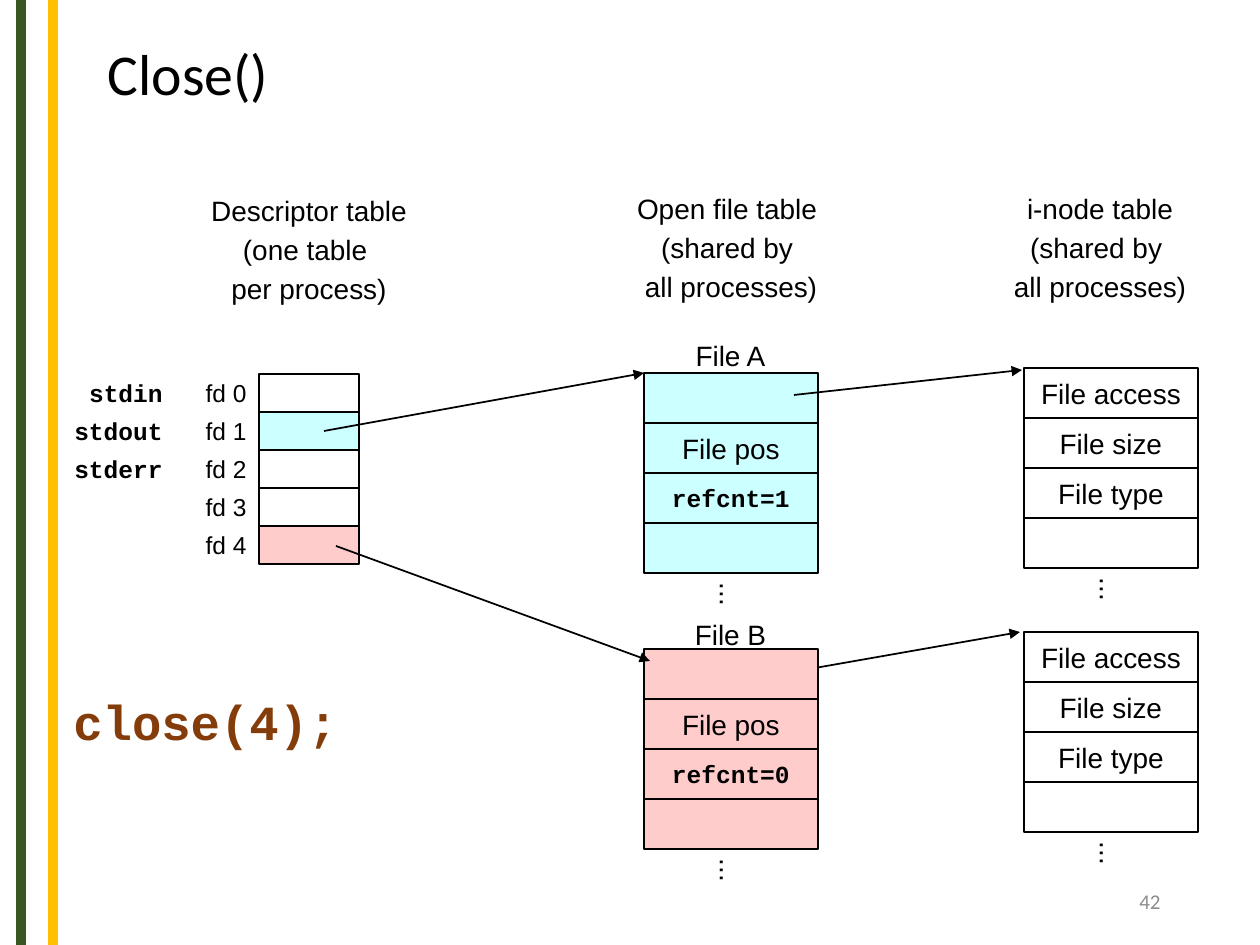
from lxml import etree
from pptx import Presentation
from pptx.dml.color import RGBColor
from pptx.enum.shapes import MSO_CONNECTOR, MSO_SHAPE
from pptx.enum.text import MSO_ANCHOR, PP_ALIGN
from pptx.oxml.ns import qn
from pptx.util import Pt

PX = 914400 / 126
LINE, RECT = MSO_CONNECTOR.STRAIGHT, MSO_SHAPE.RECTANGLE
TOP, MIDDLE = MSO_ANCHOR.TOP, MSO_ANCHOR.MIDDLE
LEFT, CENTER, RIGHT = PP_ALIGN.LEFT, PP_ALIGN.CENTER, PP_ALIGN.RIGHT
BLACK, CYAN, PINK = "000000", "CCFFFF", "FFCCCC"
SANS, MONO = ("Arial", 16, False), ("Courier New", 14, True)
DOTS = "..."

STRIPES = [(21, "385723"), (53, "FFC000")]
HEADINGS = [
    (198, 186, 222, ["Descriptor table", "(one table ", "per process)"]),
    (624, 184, 214, ["Open file table ", "(shared by ", "all processes)"]),
    (1001, 184, 198, ["i-node table", "(shared by ", "all processes)"]),
]
DESCRIPTORS = [("fd 0", None), ("fd 1", CYAN), ("fd 2", None), ("fd 3", None), ("fd 4", PINK)]
STREAMS = [("stdin", 57, 138), ("stdout", 42, 153), ("stderr", 42, 153)]
INODE = ["File access", "File size", "File type", DOTS]
TABLES = [
    (644, 373, CYAN, ["", "File pos", "refcnt=1", DOTS]),
    (644, 649, PINK, ["", "File pos", "refcnt=0", DOTS]),
    (1024, 368, None, INODE),
    (1024, 632, None, INODE),
]
FILES = [("File A", 332), ("File B", 611)]
HIDDEN_START_ARROW = (781, 674, 1020, 632)
ARROWS = [(324, 431, 644, 373), (794, 395, 1022, 370), (336, 546, 650, 661)]
FD_X, FD_Y, FD_W, FD_H = 259, 374, 100, 38
CELL_W, CELL_H = 174, 50


def emu(*lengths):
    return [round(n * PX) for n in lengths]


def rgb(color):
    return RGBColor.from_string(color)


def style(r, font, color=BLACK):
    r.font.name, r.font.bold = font[0], font[2]
    r.font.size = Pt(font[1])
    r.font.color.rgb = rgb(color)


def write(s, lines, font=SANS, align=CENTER, anchor=MIDDLE, color=BLACK):
    tf = s.text_frame
    tf.text = "\n".join(lines)
    tf.word_wrap = False
    tf.vertical_anchor = anchor
    for p in tf.paragraphs:
        p.alignment = align
        p.space_before = Pt(0)
        pPr = p._p.get_or_add_pPr()
        pPr.set("marL", "342900")
        pPr.set("indent", "-342900")
        before = pPr.find(qn("a:spcBef"))
        before.clear()
        etree.SubElement(before, qn("a:spcPct")).set("val", "20000")
        for r in p.runs:
            style(r, font, color)
    return tf


def label(slide, box, lines, *args, **kwargs):
    write(slide.shapes.add_textbox(*emu(*box)), lines, *args, **kwargs)


def cell(slide, box, fill, text=""):
    s = slide.shapes.add_shape(RECT, *emu(*box))
    s.shadow.inherit = False
    if fill:
        s.fill.solid()
        s.fill.fore_color.rgb = rgb(fill)
    else:
        s.fill.background()
    s.line.color.rgb = rgb(BLACK)
    s.line.width = Pt(1)
    if text:
        tf = write(s, [text], MONO if text.startswith("refcnt") else SANS)
        if text == DOTS:
            tf._txBody.find(qn("a:bodyPr")).set("vert", "eaVert")


def line(slide, ends, color=BLACK, width=1, arrow=True):
    s = slide.shapes.add_connector(LINE, *emu(*ends))
    s.line.color.rgb = rgb(color)
    s.line.width = Pt(width)
    if arrow:
        etree.SubElement(s.line._get_or_add_ln(), qn("a:tailEnd")).set("type", "triangle")
    etree.SubElement(s._element.spPr, qn("a:effectLst"))


def main():
    """Build the slide on how close() changes the open file tables."""
    prs = Presentation()
    prs.slide_width, prs.slide_height = emu(1260, 945)
    slide = prs.slides.add_slide(prs.slide_layouts[5])
    for x, color in STRIPES:
        line(slide, (x, 0, x, 945), color, 6, False)

    title = slide.shapes.title
    title.left, title.top, title.width, title.height = emu(95, 2, 1071, 150)
    title.text_frame.text = "Close()"
    title.text_frame.vertical_anchor = MIDDLE
    p = title.text_frame.paragraphs[0]
    p.alignment, p.line_spacing = LEFT, 0.9
    style(p.runs[0], ("Calibri", 33, False))

    for x, y, w, lines in HEADINGS:
        label(slide, (x, y, w, 127), lines)
    for i, (name, fill) in enumerate(DESCRIPTORS):
        y = FD_Y + i * FD_H
        cell(slide, (FD_X, y, FD_W, FD_H), fill)
        label(slide, (FD_X - FD_W, y, FD_W, FD_H), [name], ("Arial", 14, False), RIGHT)
    for i, (name, x, w) in enumerate(STREAMS):
        label(slide, (x, 372 + i * FD_H, w, 42), [name], MONO)

    line(slide, HIDDEN_START_ARROW)
    for x, y, fill, rows in TABLES:
        for i, text in enumerate(rows):
            cell(slide, (x, y + i * CELL_H, CELL_W, CELL_H), fill, text)
    for name, y in FILES:
        label(slide, (682, y, 97, 47), [name])
    for ends in ARROWS:
        line(slide, ends)

    label(slide, (61, 685, 290, 72), ["close(4);"], ("Courier New", 28, True), LEFT, TOP, "843C0B")
    number = slide.shapes.add_textbox(*emu(890, 876, 283, 50))
    number.text_frame.text = "42"
    number.text_frame.vertical_anchor = MIDDLE
    p = number.text_frame.paragraphs[0]
    p.alignment = RIGHT
    style(p.runs[0], ("Calibri", 12, False), "8C8C8C")
    number.text_frame.word_wrap = True
    prs.save("out.pptx")


if __name__ == "__main__":
    main()
